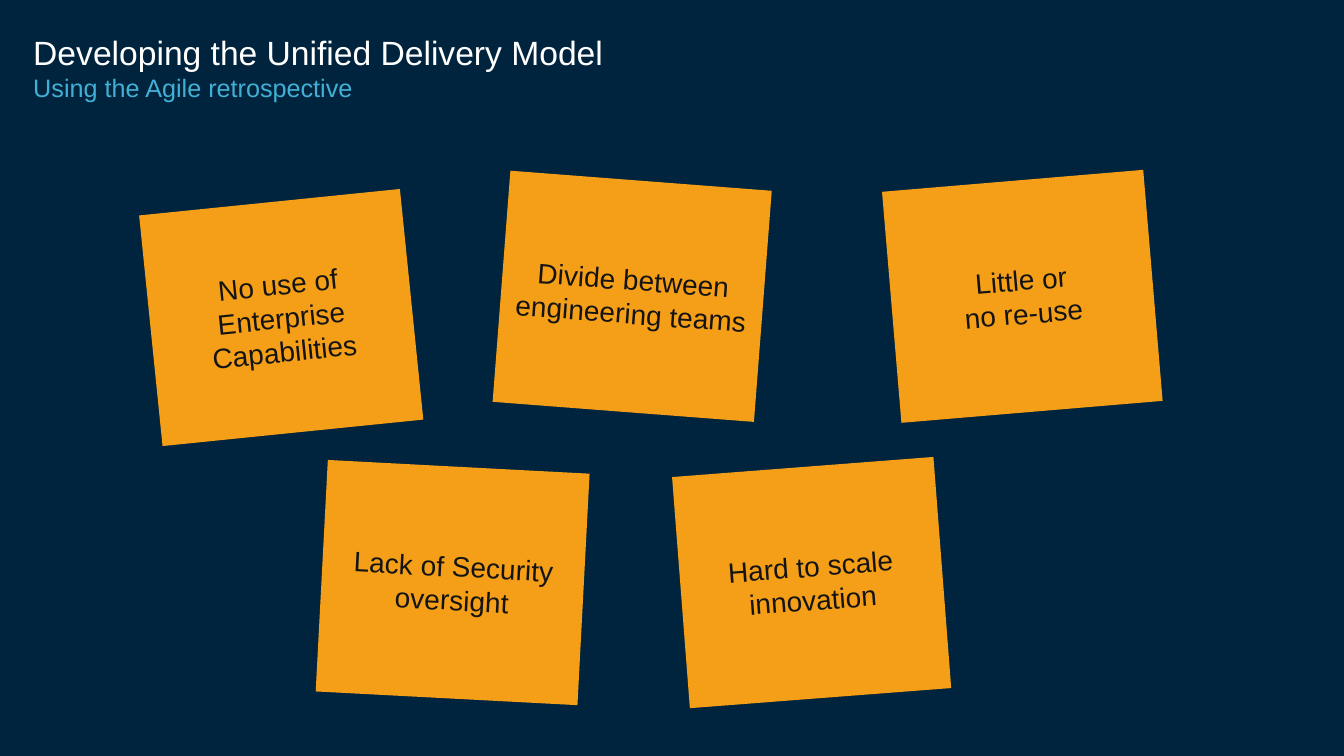
from dataclasses import dataclass

from pptx import Presentation
from pptx.dml.color import RGBColor
from pptx.enum.shapes import MSO_SHAPE
from pptx.enum.text import MSO_ANCHOR, PP_ALIGN
from pptx.util import Inches, Pt

RECTANGLE = MSO_SHAPE.RECTANGLE
MIDDLE = MSO_ANCHOR.MIDDLE
CENTER = PP_ALIGN.CENTER

NAVY = RGBColor(0x00, 0x24, 0x3D)
WHITE = RGBColor(0xFF, 0xFF, 0xFF)
SKY = RGBColor(0x42, 0xB0, 0xD5)
ORANGE = RGBColor(0xF5, 0x9F, 0x19)
INK = RGBColor(0x14, 0x14, 0x14)

FONT = "Arial"
NOTE_WIDTH, NOTE_HEIGHT = 2.6, 2.3


@dataclass
class StickyNote:
    left: float
    top: float
    rotation: float
    lines: tuple[str, ...]


NOTES = (
    StickyNote(8.84, 1.79, -4.8, ("Little or", "no re-use")),
    StickyNote(1.49, 2.0, -5.8, ("No use of Enterprise Capabilities",)),
    StickyNote(4.97, 1.79, 4.4, ("Divide between engineering teams",)),
    StickyNote(6.75, 4.63, -4.4, ("Hard to scale innovation",)),
    StickyNote(3.19, 4.63, 3, ("Lack of Security oversight",)),
)


def write_lines(frame, lines: tuple[str, ...], sizes: tuple[int, ...],
                colors: tuple[RGBColor, ...], margin: float) -> None:
    frame.word_wrap = True
    frame.margin_left = frame.margin_right = Inches(margin)
    frame.margin_top = frame.margin_bottom = Inches(margin)
    frame.text = "\n".join(lines)
    for para, size, color in zip(frame.paragraphs, sizes, colors):
        para.font.name = FONT
        para.font.size = Pt(size)
        para.font.color.rgb = color


def add_heading(page) -> None:
    box = page.shapes.add_textbox(Inches(0.33), Inches(0.32), Inches(11.47), Inches(1.44))
    lines = ("Developing the Unified Delivery Model", "Using the Agile retrospective")
    write_lines(box.text_frame, lines, (24, 18), (WHITE, SKY), 0)


def add_note(page, note: StickyNote) -> None:
    shape = page.shapes.add_shape(RECTANGLE, Inches(note.left), Inches(note.top),
                                  Inches(NOTE_WIDTH), Inches(NOTE_HEIGHT))
    shape.rotation = note.rotation
    shape.shadow.inherit = False
    shape.fill.solid()
    shape.fill.fore_color.rgb = ORANGE
    shape.line.fill.background()
    frame = shape.text_frame
    frame.vertical_anchor = MIDDLE
    count = len(note.lines)
    write_lines(frame, note.lines, (20,) * count, (INK,) * count, 0.08)
    for para in frame.paragraphs:
        para.alignment = CENTER


def main() -> None:
    deck = Presentation()
    deck.slide_width, deck.slide_height = Inches(13.33), Inches(7.5)
    page = deck.slides.add_slide(deck.slide_layouts[6])
    page.background.fill.solid()
    page.background.fill.fore_color.rgb = NAVY
    add_heading(page)
    for note in NOTES:
        add_note(page, note)
    deck.save("out.pptx")


if __name__ == "__main__":
    main()
